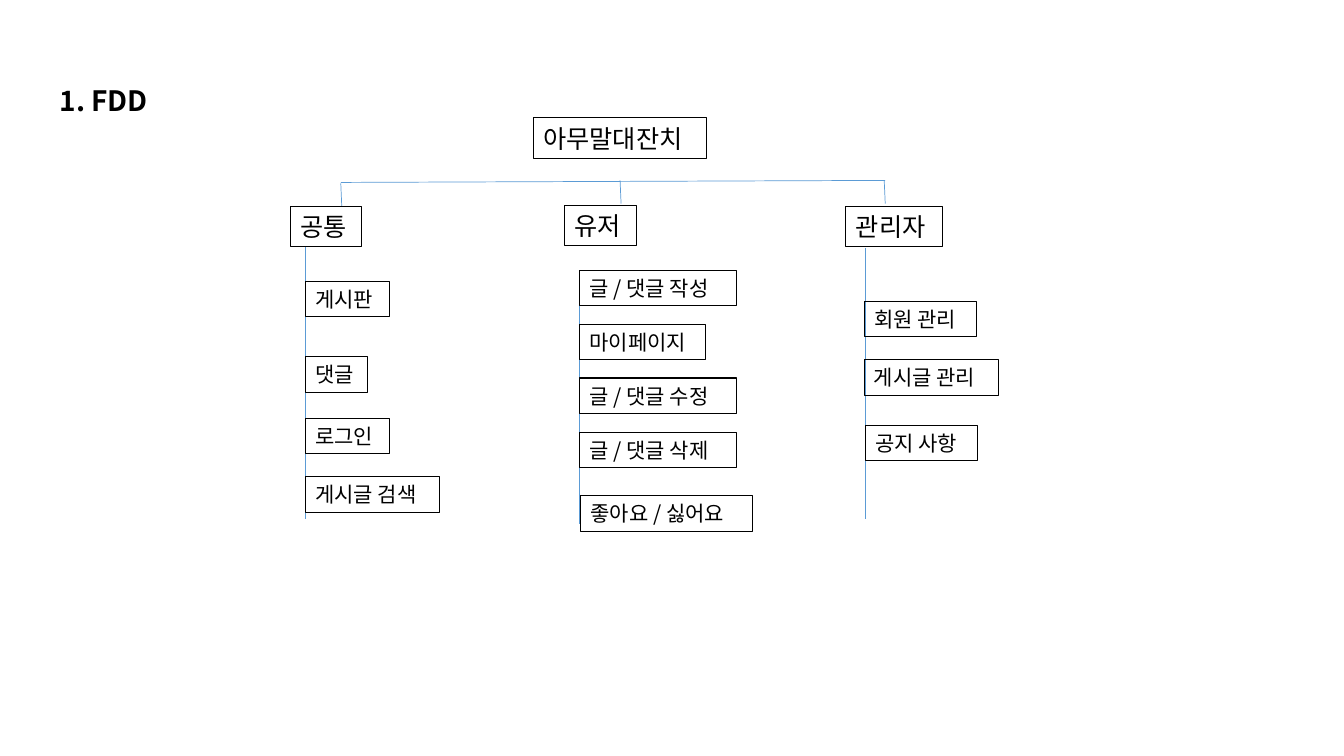
from dataclasses import dataclass

from lxml.etree import SubElement
from pptx import Presentation
from pptx.dml.color import RGBColor
from pptx.enum.shapes import MSO_CONNECTOR as Connector, MSO_SHAPE as Shape
from pptx.enum.text import MSO_ANCHOR as Anchor, PP_ALIGN as Align
from pptx.oxml.ns import qn
from pptx.util import Inches, Pt


@dataclass(frozen=True)
class Theme:
    font: str = "Noto Sans CJK KR"
    ink: RGBColor = RGBColor(0x00, 0x00, 0x00)
    branch: RGBColor = RGBColor(0x5B, 0x9B, 0xD5)
    title_size: int = 20
    group_size: int = 18
    item_size: int = 15
    border: float = 0.75
    branch_width: float = 0.5


THEME = Theme()
GROUP_HEIGHT, ITEM_HEIGHT = 0.4, 0.35

TITLE = ("1. FDD", 0.49, 0.78, 1.1, 0.44)
ROOT = ("아무말대잔치", 5.29, 1.17, 1.72)
GROUPS = [
    {
        "head": ("공통", 2.88, 2.05, 0.71),
        "trunk": (3.03, 2.45, 5.15),
        "items": [
            ("게시판", 3.03, 2.79, 0.83),
            ("댓글", 3.03, 3.54, 0.62),
            ("로그인", 3.03, 4.15, 0.83),
            ("게시글 검색", 3.03, 4.73, 1.33),
        ],
    },
    {
        "head": ("유저", 5.6, 2.04, 0.71),
        "trunk": (5.75, 2.68, 5.2),
        "items": [
            ("글 / 댓글 작성", 5.75, 2.68, 1.56),
            ("마이페이지", 5.75, 3.22, 1.25),
            ("글 / 댓글 수정", 5.75, 3.75, 1.56),
            ("글 / 댓글 삭제", 5.75, 4.29, 1.56),
            ("좋아요 / 싫어요", 5.76, 4.92, 1.7),
        ],
    },
    {
        "head": ("관리자", 8.39, 2.05, 0.96),
        "trunk": (8.58, 2.46, 5.15),
        "items": [
            ("회원 관리", 8.57, 2.99, 1.12),
            ("게시글 관리", 8.57, 3.57, 1.33),
            ("공지 사항", 8.58, 4.22, 1.12),
        ],
    },
]
CROSSBAR = (3.38, 1.81, 8.78, 1.79)
DROP_STARTS = [(3.38, 1.82), (6.15, 1.79), (8.77, 1.79)]
DROP_SHIFT, DROP_LENGTH = 0.01, 0.23


def write(shape, text, size, bold=False):
    frame = shape.text_frame
    frame.text = text
    frame.word_wrap = True
    frame.vertical_anchor = Anchor.MIDDLE
    frame.margin_left, frame.margin_right = Inches(0.1), Inches(0.05)
    frame.margin_top = frame.margin_bottom = 0
    para = frame.paragraphs[0]
    para.alignment = Align.LEFT
    for span in para.runs:
        span.font.name = THEME.font
        span.font.size = Pt(size)
        span.font.bold = bold
        span.font.color.rgb = THEME.ink
        SubElement(span.font._element, qn("a:ea")).set("typeface", THEME.font)


def add_box(page, label, height, size):
    text, left, top, width = label
    box = page.shapes.add_shape(
        Shape.RECTANGLE, Inches(left), Inches(top), Inches(width), Inches(height))
    box.shadow.inherit = False
    box.fill.background()
    box.line.color.rgb = THEME.ink
    box.line.width = Pt(THEME.border)
    write(box, text, size)


def add_branch(page, *ends):
    branch = page.shapes.add_connector(Connector.STRAIGHT, *map(Inches, ends))
    branch.line.color.rgb = THEME.branch
    branch.line.width = Pt(THEME.branch_width)
    SubElement(branch._element.spPr, qn("a:effectLst"))


deck = Presentation()
deck.slide_width, deck.slide_height = Inches(13.33), Inches(7.5)
page = deck.slides.add_slide(deck.slide_layouts[5])

title = page.shapes.title
text, *place = TITLE
title.left, title.top, title.width, title.height = map(Inches, place)
write(title, text, THEME.title_size, bold=True)

add_box(page, ROOT, GROUP_HEIGHT, THEME.group_size)
add_branch(page, *CROSSBAR)
for x, y in DROP_STARTS:
    add_branch(page, x, y, x + DROP_SHIFT, y + DROP_LENGTH)

for group in GROUPS:
    add_box(page, group["head"], GROUP_HEIGHT, THEME.group_size)
    x, top, bottom = group["trunk"]
    add_branch(page, x, top, x, bottom)
    for item in group["items"]:
        add_box(page, item, ITEM_HEIGHT, THEME.item_size)

deck.save("out.pptx")
